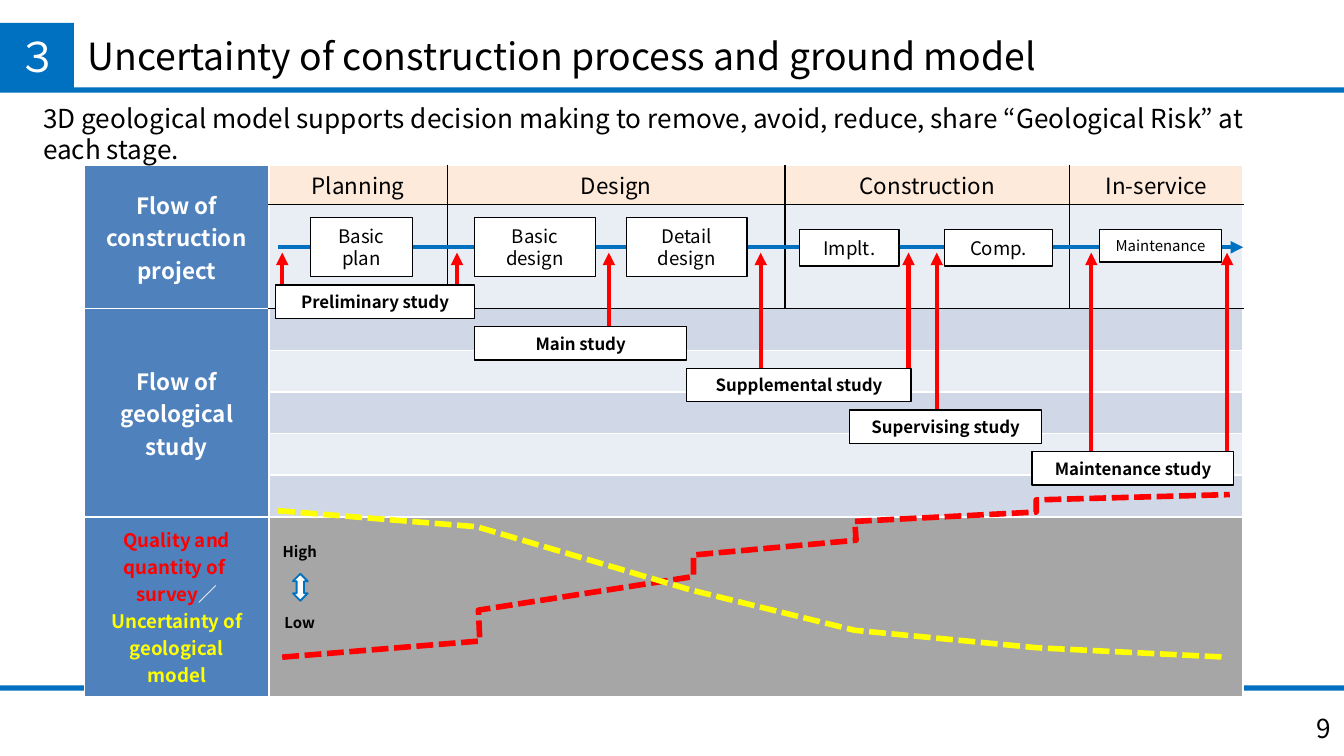
from lxml import etree
from pptx import Presentation
from pptx.dml.color import RGBColor
from pptx.enum.dml import MSO_LINE
from pptx.enum.shapes import MSO_CONNECTOR, MSO_SHAPE
from pptx.enum.text import MSO_ANCHOR, PP_ALIGN
from pptx.oxml.ns import qn
from pptx.util import Inches, Pt

LEFT, CENTER, RIGHT = PP_ALIGN.LEFT, PP_ALIGN.CENTER, PP_ALIGN.RIGHT
TOP, MIDDLE = MSO_ANCHOR.TOP, MSO_ANCHOR.MIDDLE
RECTANGLE, UP_DOWN = MSO_SHAPE.RECTANGLE, MSO_SHAPE.UP_DOWN_ARROW
STRAIGHT = MSO_CONNECTOR.STRAIGHT
SHORT_DASH = MSO_LINE.SQUARE_DOT

FONT = "Noto Sans CJK JP"
BLACK = RGBColor(0x00, 0x00, 0x00)
WHITE = RGBColor(0xFF, 0xFF, 0xFF)
BLUE = RGBColor(0x00, 0x70, 0xC0)
RED = RGBColor(0xFF, 0x00, 0x00)
YELLOW = RGBColor(0xFF, 0xFF, 0x00)
HEADER_BLUE = RGBColor(0x4F, 0x81, 0xBD)
PEACH = RGBColor(0xFD, 0xEA, 0xDA)
PALE = RGBColor(0xE9, 0xED, 0xF4)
BAND = RGBColor(0xD0, 0xD8, 0xE8)
GRAY = RGBColor(0xA6, 0xA6, 0xA6)

TITLE = "Uncertainty of construction process and ground model"
MESSAGE = ("3D geological model supports decision making to remove, avoid, reduce, "
           "share “Geological Risk” at each stage.")
BARS = [(0, 5.1, 10, 0.04), (0, 0.65, 10, 0.04), (0, 0.17, 0.55, 0.49)]

PHASES = ["Planning", "Design", "Construction", "In-service"]
COLUMNS = [1.37, 1.33, 2.51, 2.12, 1.29]
ROWS = [0.29, 0.57] + [0.31] * 5 + [1.34]
ROW_FILLS = [PEACH, PALE, BAND, PALE, BAND, PALE, BAND, GRAY]
ROW_HEADERS = [  # first row, last row, text
    (0, 1, "Flow of construction project"),
    (2, 6, "Flow of geological study"),
]
CURVE_HEADER = [
    [("Quality and quantity of  survey", RED), ("／", WHITE),
     ("Uncertainty of geological", YELLOW)],
    [("model", YELLOW)],
]

FLOW_Y, ARROW_TIP_Y = 1.84, 1.88
STEPS = [  # text, left, top, width, height, size
    ("Basic plan", 2.31, 1.62, 0.76, 0.44, 10),
    ("Basic design", 3.53, 1.62, 0.9, 0.44, 10),
    ("Detail design", 4.66, 1.62, 0.9, 0.44, 10),
    ("Implt.", 5.95, 1.71, 0.74, 0.27, 10),
    ("Comp.", 7.03, 1.71, 0.8, 0.27, 10),
    ("Maintenance", 8.18, 1.71, 0.91, 0.24, 8),
]
STUDY_TOP, STUDY_STEP, STUDY_HEIGHT = 2.12, 0.31, 0.25
STUDIES = [  # text, left, width, arrow positions
    ("Preliminary study", 2.05, 1.48, [2.1, 3.4]),
    ("Main study", 3.53, 1.58, [4.53]),
    ("Supplemental study", 5.11, 1.67, [5.66, 6.76]),
    ("Supervising study", 6.32, 1.43, [6.97]),
    ("Maintenance study", 7.68, 1.5, [8.12, 9.13]),
]
CURVES = [
    (RED, [(2.1, 4.89), (3.57, 4.77), (3.56, 4.54), (5.16, 4.29), (5.16, 4.13),
           (6.37, 4.02), (6.36, 3.88), (7.71, 3.81), (7.71, 3.72), (9.15, 3.68)]),
    (YELLOW, [(2.07, 3.8), (3.55, 3.92), (5.14, 4.39), (6.36, 4.69),
              (7.72, 4.82), (9.13, 4.89)]),
]


def write(frame, text, size=10, color=BLACK, bold=False, align=CENTER,
          spacing=None, gap=0):
    """Fill a frame; text is a string or paragraphs of (text, colour) runs."""
    paragraphs = [[(text, color)]] if isinstance(text, str) else text
    for index, runs in enumerate(paragraphs):
        paragraph = frame.add_paragraph() if index else frame.paragraphs[0]
        paragraph.alignment = align
        if spacing:
            paragraph.line_spacing = spacing
        if index and gap:
            paragraph.space_before = Pt(gap)
        for words, run_color in runs:
            run = paragraph.add_run()
            run.text = words
            run.font.size, run.font.bold = Pt(size), bold
            run.font.color.rgb = run_color
            run.font.name = FONT
            east_asian = etree.SubElement(run.font._element, qn("a:ea"))
            east_asian.set("typeface", FONT)


def set_frame(frame, anchor=TOP, insets=(0.1, 0.05), wrap=True):
    frame.word_wrap, frame.vertical_anchor = wrap, anchor
    frame.margin_left = frame.margin_right = Inches(insets[0])
    frame.margin_top = frame.margin_bottom = Inches(insets[1])


def add_text(slide, box, text, anchor=TOP, insets=(0.1, 0.05), wrap=True, **style):
    frame = slide.shapes.add_textbox(*map(Inches, box)).text_frame
    set_frame(frame, anchor, insets, wrap)
    write(frame, text, **style)


def add_box(slide, box, fill, line=None, width=0.75, kind=RECTANGLE):
    shape = slide.shapes.add_shape(kind, *map(Inches, box))
    shape.shadow.inherit = False
    shape.fill.solid()
    shape.fill.fore_color.rgb = fill
    if line is None:
        shape.line.fill.background()
    else:
        shape.line.color.rgb, shape.line.width = line, Pt(width)
    return shape


def add_label(slide, box, text, **style):
    frame = add_box(slide, box, WHITE, BLACK).text_frame
    set_frame(frame, MIDDLE)
    write(frame, text, **style)


def add_arrow(slide, start, end, color):
    connector = slide.shapes.add_connector(STRAIGHT, *map(Inches, start + end))
    connector.line.color.rgb, connector.line.width = color, Pt(2.25)
    etree.SubElement(connector.line._get_or_add_ln(), qn("a:tailEnd"), type="triangle")
    etree.SubElement(connector._element.spPr, qn("a:effectLst"))


def add_curve(slide, points, color):
    corners = [(Inches(x), Inches(y)) for x, y in points]
    builder = slide.shapes.build_freeform(*corners[0])
    builder.add_line_segments(corners[1:], close=False)
    shape = builder.convert_to_shape()
    shape.shadow.inherit = False
    shape.fill.background()
    shape.line.color.rgb, shape.line.width = color, Pt(3)
    shape.line.dash_style = SHORT_DASH


def format_cell(cell, row, column):
    cell.fill.solid()
    cell.fill.fore_color.rgb = ROW_FILLS[row] if column else HEADER_BLUE
    cell.vertical_anchor = MIDDLE
    cell.margin_left = cell.margin_right = Inches(0.05)
    cell.margin_top = cell.margin_bottom = Pt(1.8)
    phase = column > 0 and row < 2
    black_sides = {
        "L": phase and column > 1,
        "R": phase and column < len(COLUMNS) - 1,
        "T": column > 0 and row in (1, 2),
        "B": phase,
    }
    properties = cell._tc.get_or_add_tcPr()
    for position, (side, black) in enumerate(black_sides.items()):
        line = etree.Element(qn("a:ln" + side), w=str(Pt(1)))
        fill = etree.SubElement(line, qn("a:solidFill"))
        etree.SubElement(fill, qn("a:srgbClr"), val=str(BLACK if black else WHITE))
        properties.insert(position, line)
    # Keeps an empty cell from stretching its row
    etree.SubElement(cell.text_frame.paragraphs[0]._p, qn("a:endParaRPr"), sz="1000")


def add_process_table(slide):
    table = slide.shapes.add_table(
        len(ROWS), len(COLUMNS), Inches(0.63), Inches(1.23),
        Inches(sum(COLUMNS)), Inches(sum(ROWS))).table
    table.first_row = table.horz_banding = False
    for column, width in enumerate(COLUMNS):
        table.columns[column].width = Inches(width)
    for row, height in enumerate(ROWS):
        table.rows[row].height = Inches(height)
        for column in range(len(COLUMNS)):
            format_cell(table.cell(row, column), row, column)
        if row > 1:
            table.cell(row, 1).merge(table.cell(row, len(COLUMNS) - 1))
    for first, last, text in ROW_HEADERS:
        table.cell(first, 0).merge(table.cell(last, 0))
        write(table.cell(first, 0).text_frame, text, size=12, color=WHITE, bold=True)
    for column, phase in enumerate(PHASES, 1):
        write(table.cell(0, column).text_frame, phase, size=12)
    write(table.cell(len(ROWS) - 1, 0).text_frame, CURVE_HEADER, bold=True)


def main():
    presentation = Presentation()
    presentation.slide_width = Inches(10)
    presentation.slide_height = presentation.slide_width * 9 // 16
    slide = presentation.slides.add_slide(presentation.slide_layouts[5])

    for bar in BARS:
        add_box(slide, bar, BLUE)
    title = slide.shapes.title
    title.left, title.top, title.width, title.height = map(
        Inches, (0.55, 0.23, 9.45, 0.41))
    set_frame(title.text_frame, MIDDLE)
    write(title.text_frame, TITLE, size=20, align=LEFT, spacing=0.9)
    add_process_table(slide)
    add_text(slide, (0.27, 0.73, 9.49, 0.52), MESSAGE, insets=(0.05, 0.03),
             size=14, align=LEFT)

    add_text(slide, (1.99, 3.98, 0.48, 0.77), [[("High", BLACK)], [("Low", BLACK)]],
             anchor=MIDDLE, wrap=False, size=8, bold=True, gap=28.5)
    add_box(slide, (2.18, 4.27, 0.11, 0.2), WHITE, BLUE, 1, UP_DOWN)
    for color, points in CURVES:
        add_curve(slide, points, color)
    add_text(slide, (0.08, 0.21, 0.41, 0.42), "３", anchor=MIDDLE,
             insets=(0.05, 0.02), wrap=False, size=22, color=WHITE)

    add_arrow(slide, (2.07, FLOW_Y), (9.25, FLOW_Y), BLUE)
    for text, left, top, width, height, size in STEPS:
        add_label(slide, (left, top, width, height), text, size=size)
    for index, (text, left, width, arrows) in enumerate(STUDIES):
        top = STUDY_TOP + index * STUDY_STEP
        for x in arrows:
            add_arrow(slide, (x, top + STUDY_HEIGHT / 2), (x, ARROW_TIP_Y), RED)
        add_label(slide, (left, top, width, STUDY_HEIGHT), text, size=9, bold=True)
    add_text(slide, (9.41, 5.25, 0.59, 0.3), "9", size=14, align=RIGHT)
    presentation.save("out.pptx")


if __name__ == "__main__":
    main()
